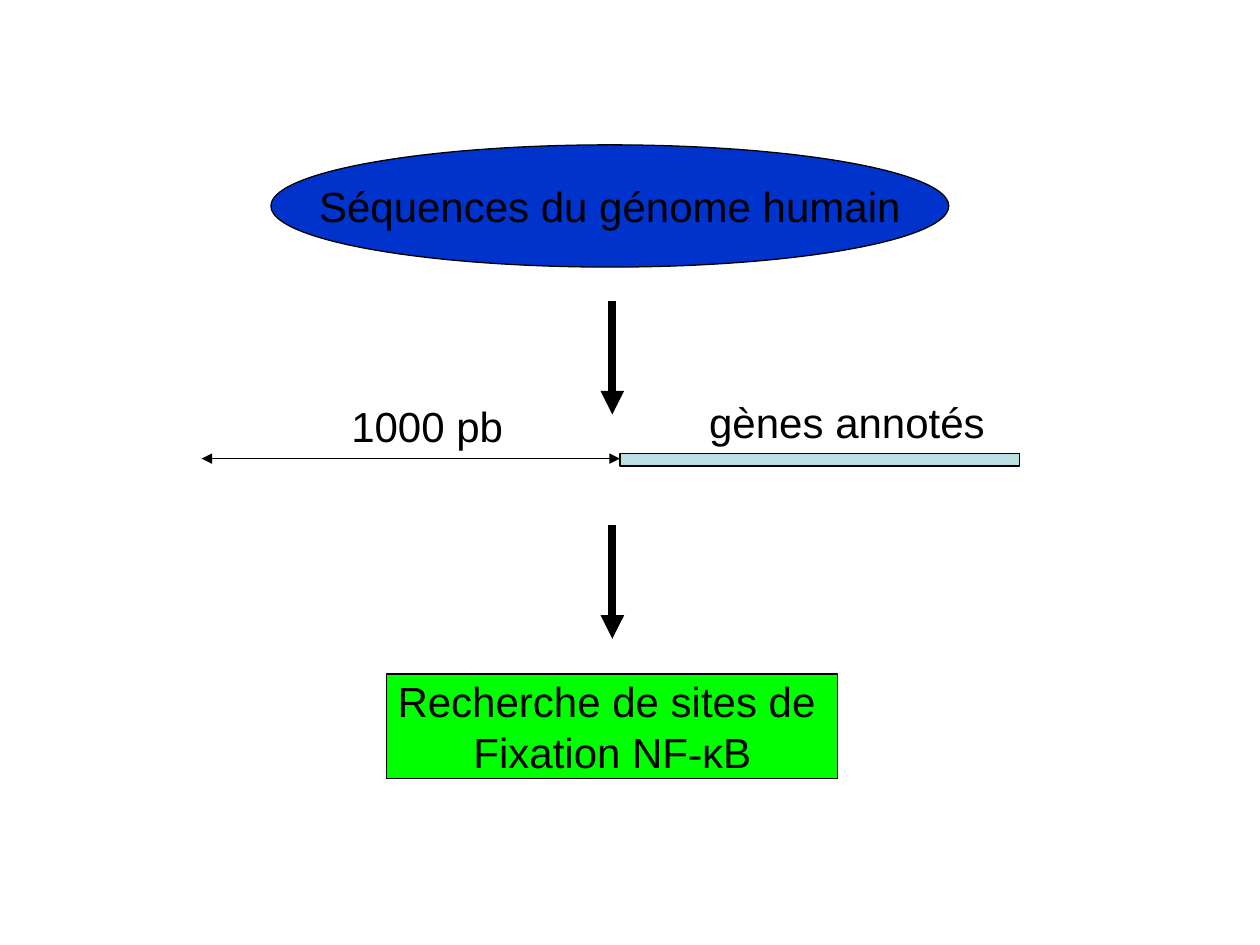
from dataclasses import dataclass

from lxml import etree
from pptx import Presentation
from pptx.dml.color import RGBColor
from pptx.enum.shapes import MSO_CONNECTOR, MSO_SHAPE
from pptx.enum.text import MSO_ANCHOR, MSO_AUTO_SIZE, PP_ALIGN
from pptx.oxml.ns import qn
from pptx.util import Inches, Pt

RECTANGLE, ELLIPSE = MSO_SHAPE.RECTANGLE, MSO_SHAPE.OVAL
STRAIGHT = MSO_CONNECTOR.STRAIGHT
MIDDLE, TOP = MSO_ANCHOR.MIDDLE, MSO_ANCHOR.TOP
CENTER, LEFT = PP_ALIGN.CENTER, PP_ALIGN.LEFT
FIXED, GROW = MSO_AUTO_SIZE.NONE, MSO_AUTO_SIZE.SHAPE_TO_FIT_TEXT

BLACK = RGBColor(0x00, 0x00, 0x00)
PALE_TEAL = RGBColor(0xBB, 0xE0, 0xE3)
BLUE = RGBColor(0x00, 0x33, 0xCC)
GREEN = RGBColor(0x00, 0xFF, 0x00)

SANS, SERIF = "Arial", "Times New Roman"
THIN, THICK = 0.74, 4.51
FLOW_X, FLOW_LENGTH = 4.86, 0.9
GENE_START, PROMOTER_Y = 4.92, 3.64

Line = tuple[tuple[str, str], ...]


@dataclass(frozen=True)
class Box:
    """A filled shape with lines of (text, font) runs; lengths in inches."""
    preset: MSO_SHAPE
    place: tuple[float, float, float, float]
    fill: RGBColor
    lines: tuple[Line, ...] = ()


@dataclass(frozen=True)
class Label:
    """Free text above the sequence; lengths in inches."""
    place: tuple[float, float, float, float]
    text: str


@dataclass(frozen=True)
class Arrow:
    """A straight line with arrowheads; lengths in inches."""
    start: tuple[float, float]
    end: tuple[float, float]
    weight: float
    heads: tuple[str, ...] = ("tailEnd",)


GENE = Box(RECTANGLE, (GENE_START, 3.6, 3.17, 0.1), PALE_TEAL)
STEPS = (
    Box(ELLIPSE, (2.15, 1.15, 5.38, 0.97), BLUE,
        ((("Séquences du génome humain", SANS),),)),
    Box(RECTANGLE, (3.07, 5.35, 3.58, 0.83), GREEN,
        ((("Recherche de sites de ", SANS),),
         (("Fixation NF", SANS), ("-", SERIF), ("κB", SANS)))),
)
LABELS = (
    Label((2.69, 3.13, 1.43, 0.5), "1000 pb"),
    Label((5.53, 3.1, 2.41, 0.5), "gènes annotés"),
)
PROMOTER = Arrow((1.6, PROMOTER_Y), (GENE_START, PROMOTER_Y), THIN,
                 ("headEnd", "tailEnd"))
FLOW = tuple(Arrow((FLOW_X, top), (FLOW_X, top + FLOW_LENGTH), THICK)
             for top in (2.39, 4.17))


def write(frame, lines: tuple[Line, ...], *, size: float = 24,
          color: RGBColor = BLACK, align: PP_ALIGN = LEFT,
          anchor: MSO_ANCHOR = TOP, fit: MSO_AUTO_SIZE = FIXED) -> None:
    """Fill a text frame with formatted, unwrapped lines."""
    frame.word_wrap = False
    frame.auto_size = fit
    frame.vertical_anchor = anchor
    frame.margin_left = frame.margin_right = Inches(0.1)
    frame.margin_top = frame.margin_bottom = Inches(0.05)
    for index, line in enumerate(lines):
        paragraph = frame.add_paragraph() if index else frame.paragraphs[0]
        paragraph.alignment = align
        for text, font in line:
            run = paragraph.add_run()
            run.text = text
            run.font.name = font
            run.font.size = Pt(size)
            run.font.color.rgb = color


def draw_box(shapes, box: Box) -> None:
    """Draw a filled, outlined shape and its centred text."""
    shape = shapes.add_shape(box.preset, *map(Inches, box.place))
    shape.shadow.inherit = False
    shape.fill.solid()
    shape.fill.fore_color.rgb = box.fill
    shape.line.color.rgb = BLACK
    shape.line.width = Pt(THIN)
    if box.lines:
        write(shape.text_frame, box.lines, align=CENTER, anchor=MIDDLE)


def draw_label(shapes, label: Label) -> None:
    """Draw a text box that grows to hold its one line."""
    textbox = shapes.add_textbox(*map(Inches, label.place))
    write(textbox.text_frame, (((label.text, SANS),),), fit=GROW)


def draw_arrow(shapes, arrow: Arrow) -> None:
    """Draw a black line with triangular heads and no shadow."""
    connector = shapes.add_connector(
        STRAIGHT, *map(Inches, arrow.start + arrow.end))
    connector.line.color.rgb = BLACK
    connector.line.width = Pt(arrow.weight)
    outline = connector.line._get_or_add_ln()
    for head in arrow.heads:
        etree.SubElement(outline, qn(f"a:{head}"), type="triangle")
    etree.SubElement(connector._element.spPr, qn("a:effectLst"))


def main() -> None:
    """Build and save the slide."""
    deck = Presentation()
    deck.slide_width, deck.slide_height = Inches(10), Inches(7.5)
    shapes = deck.slides.add_slide(deck.slide_layouts[6]).shapes

    sequence = shapes.add_group_shape().shapes
    draw_box(sequence, GENE)
    draw_arrow(sequence, PROMOTER)
    for label in LABELS:
        draw_label(sequence, label)

    source, search = STEPS
    draw_box(shapes, source)
    for arrow in FLOW:
        draw_arrow(shapes, arrow)
    draw_box(shapes, search)
    deck.save("out.pptx")


main()
